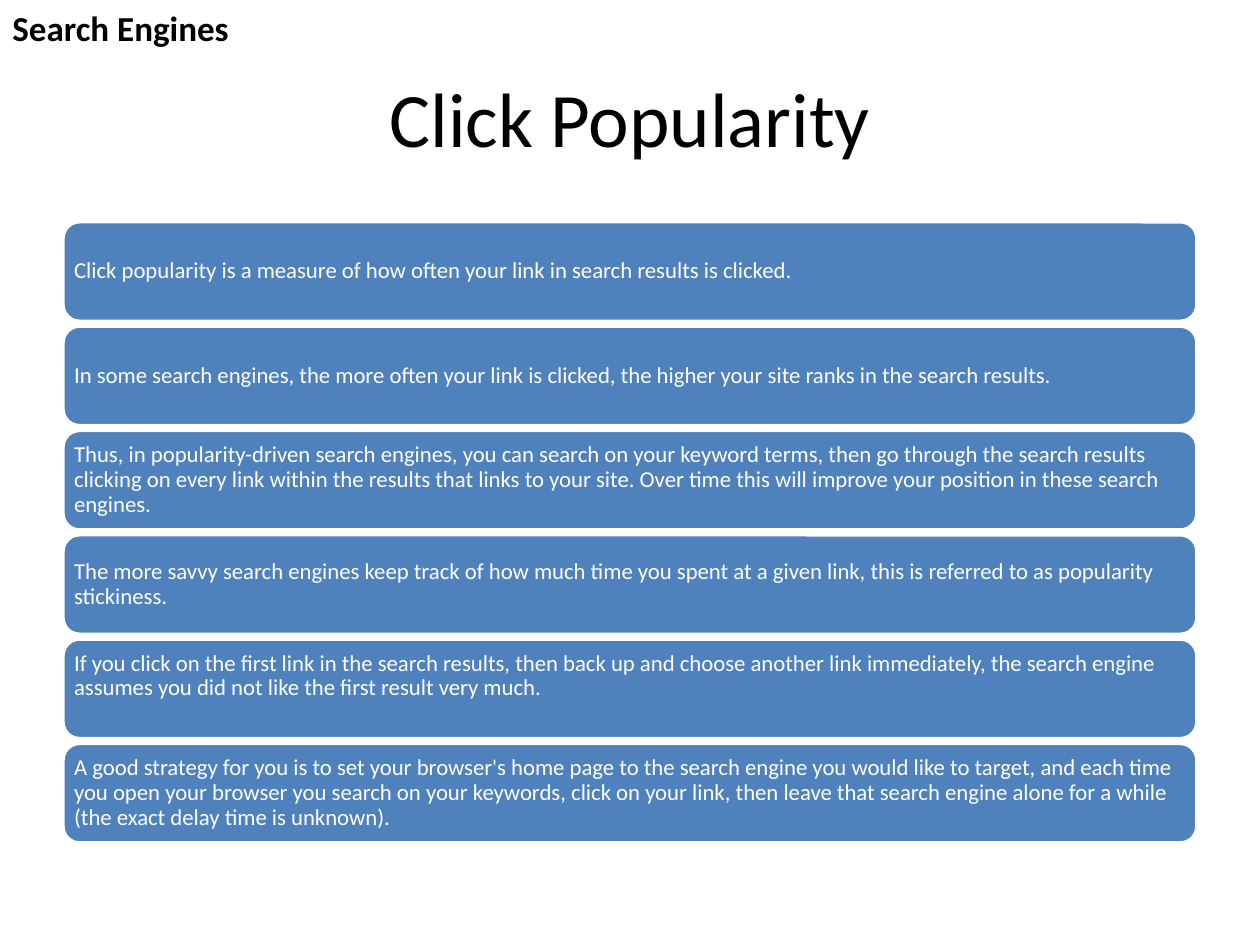
from dataclasses import dataclass

from pptx import Presentation
from pptx.dml.color import RGBColor
from pptx.enum.shapes import MSO_SHAPE
from pptx.enum.text import MSO_ANCHOR, MSO_AUTO_SIZE, PP_ALIGN
from pptx.util import Inches, Pt

TITLE = "Click Popularity"
TOPIC = "Search Engines"
POINTS = [
    "Click popularity is a measure of how often your link in search results is clicked.",
    "In some search engines, the more often your link is clicked, the higher your site "
    "ranks in the search results.",
    "Thus, in popularity-driven search engines, you can search on your keyword terms, then "
    "go through the search results clicking on every link within the results that links to "
    "your site. Over time this will improve your position in these search engines.",
    "The more savvy search engines keep track of how much time you spent at a given link, "
    "this is referred to as popularity stickiness.",
    "If you click on the first link in the search results, then back up and choose another "
    "link immediately, the search engine assumes you did not like the first result very much.",
    "A good strategy for you is to set your browser's home page to the search engine you "
    "would like to target, and each time you open your browser you search on your keywords, "
    "click on your link, then leave that search engine alone for a while (the exact delay "
    "time is unknown).",
]
RAISED_POINT = 4  # its text sits half a line above the middle


@dataclass(frozen=True)
class Theme:
    font: str = "Calibri"
    ink: RGBColor = RGBColor(0x00, 0x00, 0x00)
    paper: RGBColor = RGBColor(0xFF, 0xFF, 0xFF)
    bar: RGBColor = RGBColor(0x4F, 0x81, 0xBD)
    title_size: int = 44
    topic_size: int = 20
    point_size: int = 13


THEME = Theme()
MARGIN, BAR_WIDTH, BAR_HEIGHT = 0.5, 9, 0.79
FIRST_TOP, LAST_TOP = 1.76, 5.9
PITCH = (LAST_TOP - FIRST_TOP) / (len(POINTS) - 1)
INSET, RAISED_INSET = 0.05, 0.25


def write(frame, text, size, color, align, bold=False):
    frame.vertical_anchor = MSO_ANCHOR.MIDDLE
    paragraph = frame.paragraphs[0]
    paragraph.alignment = align
    run = paragraph.add_run()
    run.text = text
    run.font.name, run.font.size, run.font.bold = THEME.font, Pt(size), bold
    run.font.color.rgb = color
    return paragraph


def add_title(slide):
    title = slide.shapes.title
    title.left, title.top = Inches(MARGIN), Inches(0.3)
    title.width, title.height = Inches(BAR_WIDTH), Inches(1.25)
    write(title.text_frame, TITLE, THEME.title_size, THEME.ink, PP_ALIGN.CENTER)


def add_topic(slide):
    topic = slide.shapes.add_textbox(0, 0, Inches(2.36), Inches(0.43)).text_frame
    topic.word_wrap = False
    topic.auto_size = MSO_AUTO_SIZE.SHAPE_TO_FIT_TEXT
    write(topic, TOPIC, THEME.topic_size, THEME.ink, PP_ALIGN.LEFT, bold=True)


def add_point(slide, index, text):
    bar = slide.shapes.add_shape(
        MSO_SHAPE.ROUNDED_RECTANGLE,
        Inches(MARGIN), Inches(FIRST_TOP + index * PITCH),
        Inches(BAR_WIDTH), Inches(BAR_HEIGHT),
    )
    bar.shadow.inherit = False
    bar.fill.solid()
    bar.fill.fore_color.rgb = THEME.bar
    bar.line.color.rgb = THEME.paper
    bar.line.width = Pt(2)
    frame = bar.text_frame
    frame.word_wrap = True
    frame.margin_left = frame.margin_right = frame.margin_top = Inches(INSET)
    frame.margin_bottom = Inches(RAISED_INSET if index == RAISED_POINT else INSET)
    paragraph = write(frame, text, THEME.point_size, THEME.paper, PP_ALIGN.LEFT)
    paragraph.line_spacing = 0.9


def main():
    deck = Presentation()
    deck.slide_width, deck.slide_height = Inches(10), Inches(7.5)
    slide = deck.slides.add_slide(deck.slide_layouts[5])
    add_title(slide)
    add_topic(slide)
    for index, text in enumerate(POINTS):
        add_point(slide, index, text)
    deck.save("out.pptx")


if __name__ == "__main__":
    main()
